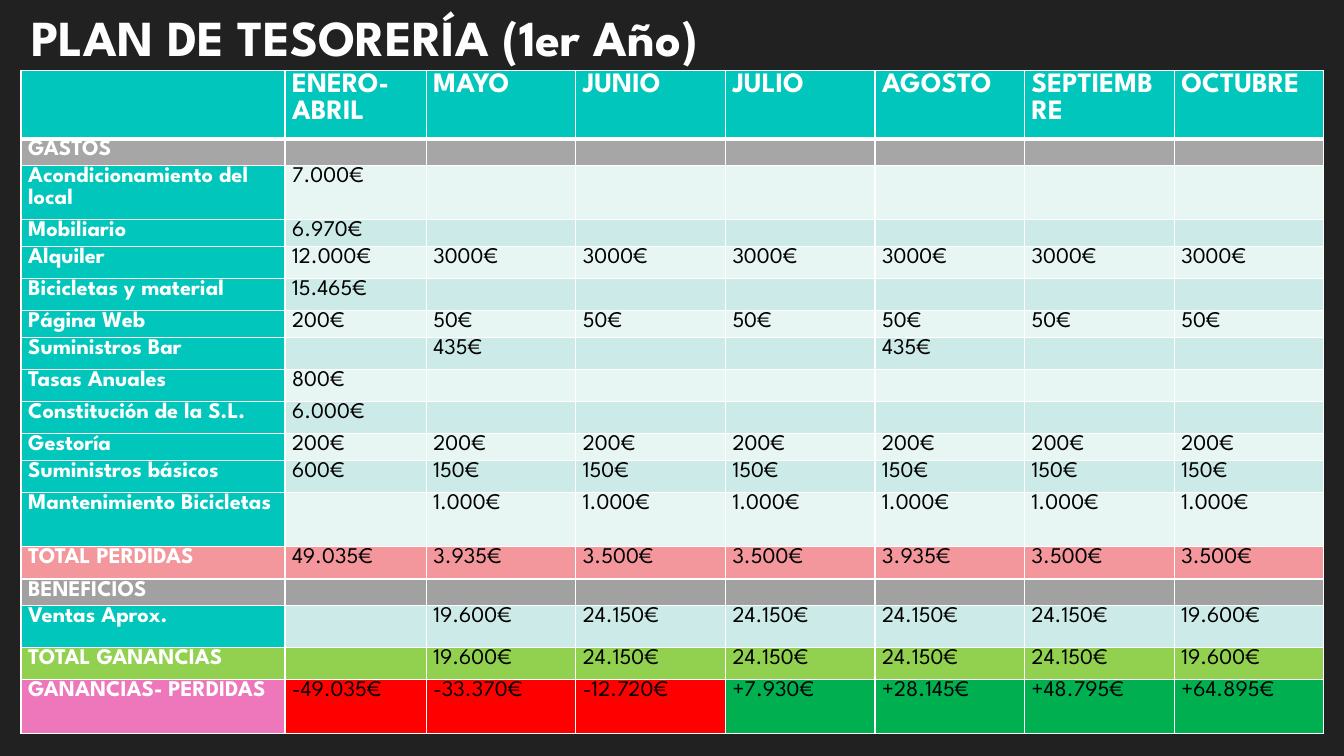
from lxml.etree import SubElement, fromstring
from pptx import Presentation
from pptx.dml.color import RGBColor
from pptx.enum.text import MSO_ANCHOR as Anchor, PP_ALIGN as Align
from pptx.oxml.ns import qn
from pptx.util import Cm, Pt

TEAL, PALE, MINT = "00C6BB", "E7F5F3", "CCEAE7"
WHITE, BLACK, RED, GREEN = "FFFFFF", "000000", "FF0000", "00B050"
MONTHS = ["ENERO-ABRIL", "MAYO", "JUNIO", "JULIO", "AGOSTO", "SEPTIEMBRE", "OCTUBRE"]
SALES = ["", "19.600€", *["24.150€"] * 4, "19.600€"]
SMALL, MEDIUM, TALL = 0.67, 0.81, 1.37

ROWS = [
    ("", 1.72, MONTHS),
    ("GASTOS", SMALL, []),
    ("Acondicionamiento del local", TALL, ["7.000€"]),
    ("Mobiliario", SMALL, ["6.970€"]),
    ("Alquiler", MEDIUM, ["12.000€", *["3000€"] * 6]),
    ("Bicicletas y material", MEDIUM, ["15.465€"]),
    ("Página Web", SMALL, ["200€", *["50€"] * 6]),
    ("Suministros Bar", MEDIUM, ["", "435€", "", "", "435€"]),
    ("Tasas Anuales", MEDIUM, ["800€"]),
    ("Constitución de la S.L.", MEDIUM, ["6.000€"]),
    ("Gestoría", SMALL, ["200€"] * 7),
    ("Suministros básicos", MEDIUM, ["600€", *["150€"] * 6]),
    ("Mantenimiento Bicicletas", TALL, ["", *["1.000€"] * 6]),
    ("TOTAL PERDIDAS", MEDIUM, ["49.035€", *["3.935€", "3.500€", "3.500€"] * 2]),
    ("BENEFICIOS", SMALL, []),
    ("Ventas Aprox.", 1.05, SALES),
    ("TOTAL GANANCIAS", MEDIUM, SALES),
    ("GANANCIAS- PERDIDAS", TALL, ["-49.035€", "-33.370€", "-12.720€", "+7.930€",
                                   "+28.145€", "+48.795€", "+64.895€"]),
]
ROW_FILLS = {"": TEAL, "GASTOS": "A6A6A6", "TOTAL PERDIDAS": "F4979D",
             "BENEFICIOS": "A1A1A1", "TOTAL GANANCIAS": "92D050"}
LABEL_FILLS = {**ROW_FILLS, "GANANCIAS- PERDIDAS": "ED77BA"}
COLUMN_WIDTHS = [6.65, 3.56, *[3.77] * 6]
SHADOW = ('<a:effectLst xmlns:a="http://schemas.openxmlformats.org/drawingml/2006/main">'
          '<a:outerShdw blurRad="38100" dist="38100" dir="2700000"><a:srgbClr val="000000">'
          '<a:alpha val="60000"/></a:srgbClr></a:outerShdw></a:effectLst>')


def colour(value):
    return RGBColor.from_string(value)


def value_fill(label, text, index):
    if text.startswith("-"):
        return RED
    if text.startswith("+"):
        return GREEN
    return ROW_FILLS.get(label, MINT if index % 2 else PALE)


class TreasurySlide:
    """Holds the style and the current slide, and adds its elements."""

    font_name = "League Spartan"

    def __init__(self, presentation):
        self.slide = presentation.slides.add_slide(presentation.slide_layouts[5])
        background = self.slide.background.fill
        background.solid()
        background.fore_color.rgb = colour("212121")

    def text(self, paragraph, text, size, text_colour, bold):
        run = paragraph.add_run()
        run.text = text
        formats = {"size": Pt(size), "bold": bold, "name": self.font_name}
        for name, value in formats.items():
            setattr(run.font, name, value)
        run.font.color.rgb = colour(text_colour)
        return run

    def title(self, text, left, top, width, height):
        shape = self.slide.shapes.title
        box = {"left": left, "top": top, "width": width, "height": height}
        for name, value in box.items():
            setattr(shape, name, Cm(value))
        frame = shape.text_frame
        frame.word_wrap = True
        frame.vertical_anchor = Anchor.BOTTOM
        paragraph = frame.paragraphs[0]
        paragraph.alignment = Align.LEFT
        run = self.text(paragraph, text, 36, "FEFEFE", True)
        run._r.rPr.find(qn("a:solidFill")).addnext(fromstring(SHADOW))

    def borders(self, cell, index):
        properties = cell._tc.get_or_add_tcPr()
        widths = {"L": 1, "R": 1, "T": 3 if index == 1 else 1, "B": 1 if index else 3}
        for side, width in widths.items():
            line = SubElement(properties, qn(f"a:ln{side}"), w=str(Pt(width)))
            fill = SubElement(line, qn("a:solidFill"))
            SubElement(fill, qn("a:srgbClr"), val=WHITE)

    def cell(self, cell, index, text, fill, size, text_colour, bold):
        self.borders(cell, index)
        margins = {"margin_left": 0.18, "margin_right": 0.18,
                   "margin_top": 0, "margin_bottom": 0}
        for name, value in margins.items():
            setattr(cell, name, Cm(value))
        cell.fill.solid()
        cell.fill.fore_color.rgb = colour(fill)
        paragraph = cell.text_frame.paragraphs[0]
        if text:
            paragraph.line_spacing = 1.07
            paragraph.space_after = Pt(8)
            self.text(paragraph, text, size, text_colour, bold)
        else:
            SubElement(paragraph._p, qn("a:endParaRPr"), sz="1000")

    def table(self, rows, widths, left, top):
        heights = [height for _, height, _ in rows]
        table = self.slide.shapes.add_table(
            len(rows), len(widths), Cm(left), Cm(top),
            Cm(sum(widths)), Cm(sum(heights))).table
        for column, width in zip(table.columns, widths):
            column.width = Cm(width)
        for index, (label, height, values) in enumerate(rows):
            table.rows[index].height = Cm(height)
            size = 16 if index else 20
            self.cell(table.cell(index, 0), index, label,
                      LABEL_FILLS.get(label, TEAL), size, WHITE, True)
            padded = values + [""] * (len(widths) - 1 - len(values))
            for column, text in enumerate(padded, 1):
                self.cell(table.cell(index, column), index, text,
                          value_fill(label, text, index), size,
                          BLACK if index else WHITE, index == 0)


def main():
    presentation = Presentation()
    presentation.slide_width = Cm(33.87)
    presentation.slide_height = Cm(19.05)
    treasury = TreasurySlide(presentation)
    treasury.title("PLAN DE TESORERÍA (1er Año)", 0.53, 0, 18.87, 1.8)
    treasury.table(ROWS, COLUMN_WIDTHS, 0.53, 1.78)
    presentation.save("out.pptx")


if __name__ == "__main__":
    main()
